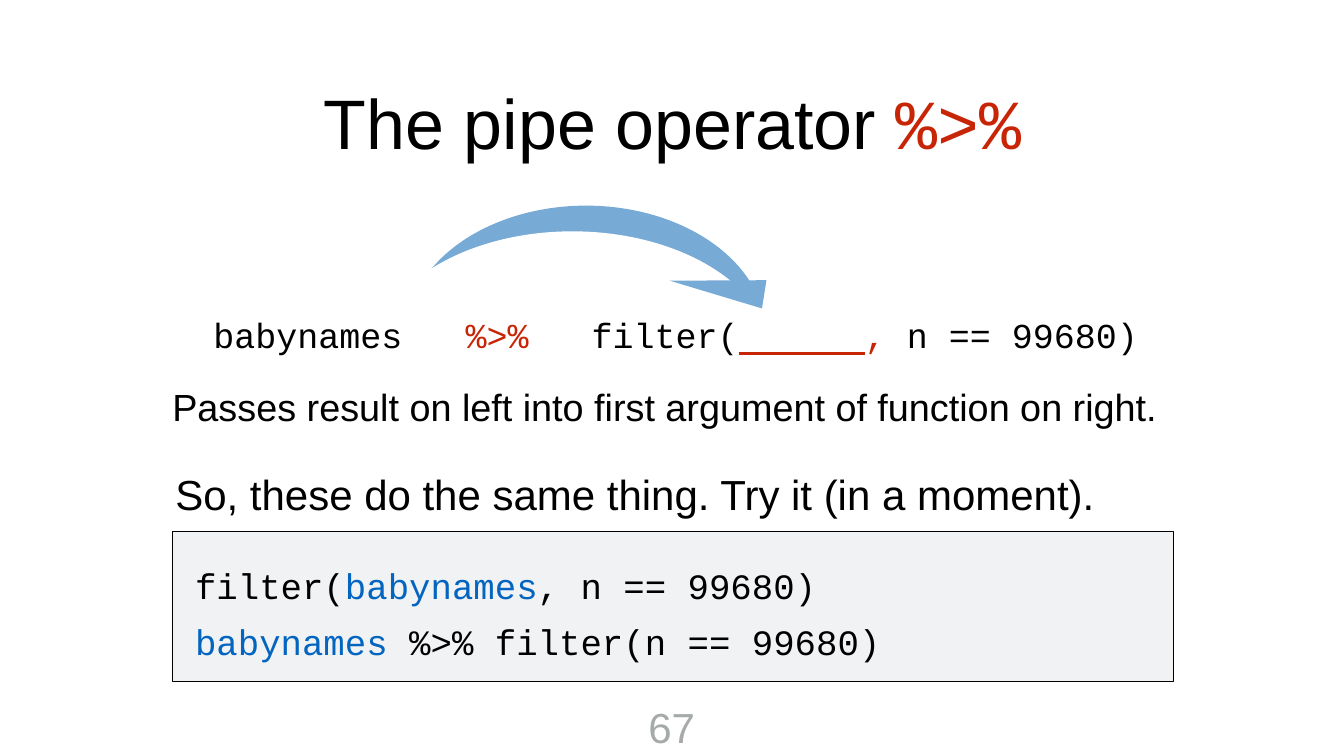
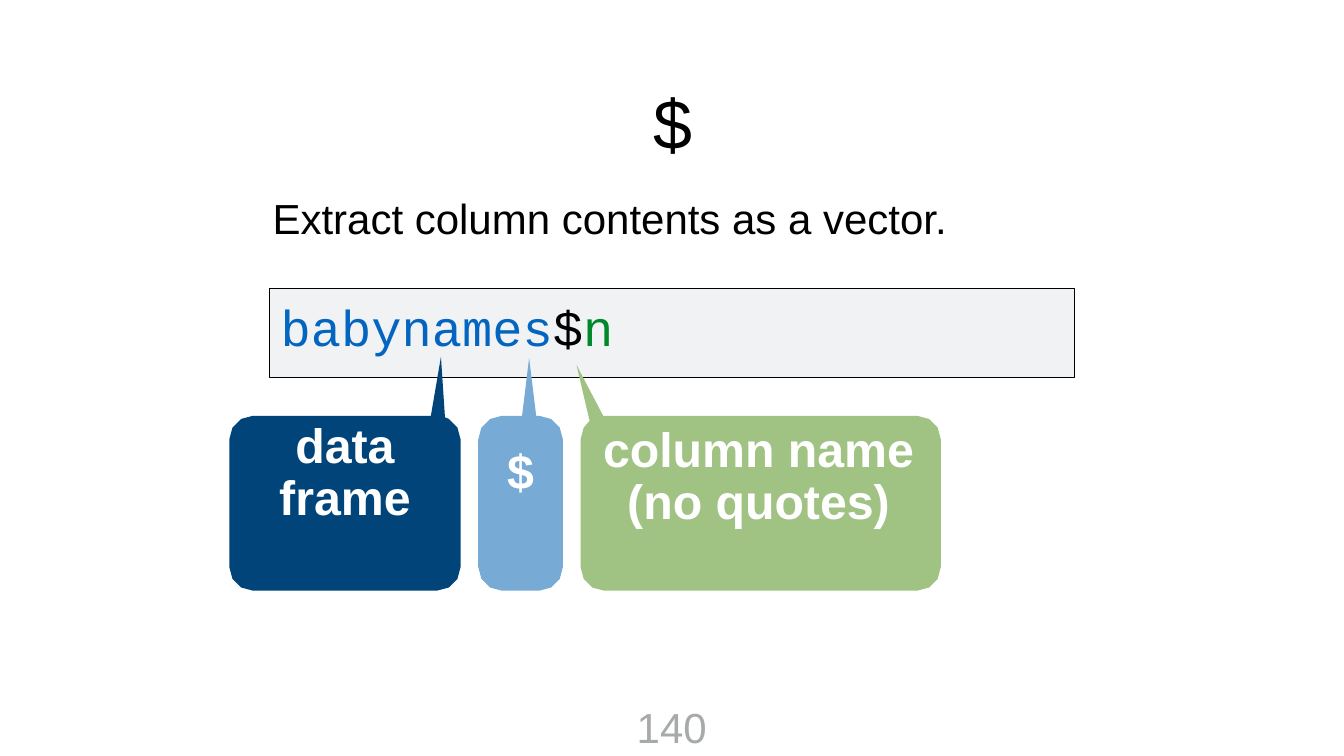
from math import cos, radians, sin

from pptx import Presentation
from pptx.dml.color import RGBColor
from pptx.enum.shapes import MSO_SHAPE
from pptx.enum.text import MSO_ANCHOR, PP_ALIGN
from pptx.util import Inches, Pt

BLACK = RGBColor(0x00, 0x00, 0x00)
WHITE = RGBColor(0xFF, 0xFF, 0xFF)
RED = RGBColor(0xC8, 0x25, 0x06)
BLUE = RGBColor(0x03, 0x65, 0xC0)
GREEN = RGBColor(0x00, 0x88, 0x2B)
GRAY = RGBColor(0xA6, 0xAA, 0xA9)
CODE_FILL = RGBColor(0xF0, 0xF2, 0xF4)
NAVY = RGBColor(0x00, 0x44, 0x79)
SKY = RGBColor(0x78, 0xAA, 0xD6)
LEAF = RGBColor(0xA0, 0xC2, 0x83)

SANS, MONO = "Arial", "Courier New"
LEFT, CENTER = PP_ALIGN.LEFT, PP_ALIGN.CENTER
TITLE_BOX = (4.4, 1.1, 17.9, 2.62)


def write_text(sp, lines, size, font=SANS, align=LEFT, spacing=1.0, inset=0.06,
               bold=False, anchor=MSO_ANCHOR.MIDDLE, wrap=True):
    """Fill sp with lines, each a list of (text, colour) or (text, colour, font) runs."""
    tf = sp.text_frame
    frame = {"word_wrap": wrap, "vertical_anchor": anchor}
    for side in ("left", "top", "right", "bottom"):
        frame[f"margin_{side}"] = Inches(inset)
    for name, value in frame.items():
        setattr(tf, name, value)
    for i, line in enumerate(lines):
        p = tf.add_paragraph() if i else tf.paragraphs[0]
        p.alignment, p.line_spacing = align, spacing
        for text, color, *own_font in line:
            r = p.add_run()
            r.text = text
            style = {"size": Pt(size), "bold": bold, "name": own_font[0] if own_font else font}
            for name, value in style.items():
                setattr(r.font, name, value)
            r.font.color.rgb = color
            if not text.strip():
                r.font.underline = True


def paint(sp, fill, line=None):
    sp.shadow.inherit = False
    sp.fill.solid()
    sp.fill.fore_color.rgb = fill
    if line is None:
        sp.line.fill.background()
    else:
        sp.line.color.rgb = line
        sp.line.width = Pt(1)


prs = Presentation()
prs.slide_width, prs.slide_height = Inches(26.67), Inches(15)
pipe, dollar = [prs.slides.add_slide(prs.slide_layouts[6]) for _ in range(2)]

# Titles, page numbers and code panels
for s, title, number, number_left, number_width, panel in (
    (pipe, [("The pipe operator ", BLACK), ("%>%", RED, MONO)], "67", 12.78, 1.1,
     (3.42, 10.55, 19.86, 2.97)),
    (dollar, [("$", BLACK)], "140", 12.55, 1.56, (5.35, 5.72, 15.97, 1.77)),
):
    sp = s.shapes.add_textbox(*map(Inches, TITLE_BOX))
    write_text(sp, [title], 100, align=CENTER)
    sp = s.shapes.add_textbox(*map(Inches, (number_left, 13.84, number_width, 1.16)))
    write_text(sp, [[(number, GRAY)]], 60, align=CENTER, inset=0.08,
               anchor=MSO_ANCHOR.TOP, wrap=False)
    sp = s.shapes.add_shape(MSO_SHAPE.RECTANGLE, *map(Inches, panel))
    paint(sp, CODE_FILL, BLACK)

# Slide 1: the curved arrow is a crescent cut off at the bottom, plus a head
for kind, box, fill in (
    (MSO_SHAPE.OVAL, (8.05, 4.08, 7.16, 5.17), SKY),
    (MSO_SHAPE.OVAL, (7.36, 4.59, 8, 5.17), WHITE),
    (MSO_SHAPE.RECTANGLE, (5.02, 5.68, 11.47, 3.26), WHITE),
):
    paint(pipe.shapes.add_shape(kind, *map(Inches, box)), fill)
builder = pipe.shapes.build_freeform(Inches(13.29), Inches(5.57))
builder.add_line_segments([(Inches(15.21), Inches(5.56)), (Inches(15.12), Inches(6.12))])
paint(builder.convert_to_shape(), SKY)

pipe_code = [(" babynames   ", BLACK), ("%>%", RED), ("   filter(", BLACK),
             ("      ", RED), (", ", RED), ("n == 99680)", BLACK)]
same_code = [[("filter(", BLACK), ("babynames", BLUE), (", n == 99680)", BLACK)],
             [("babynames", BLUE), (" %>% filter(n == 99680)", BLACK)]]
for box, lines, style in (
    ((-0.45, 6.12, 27.3, 1.03), [pipe_code],
     {"size": 50, "font": MONO, "align": CENTER, "inset": 0.08}),
    ((3.36, 6.69, 19.86, 2.76),
     [[("Passes result on left into first argument of function on right.", BLACK)]],
     {"size": 54}),
    ((3.42, 9.19, 19.86, 1.22),
     [[("So, these do the same thing. Try it (in a moment).", BLACK)]], {"size": 60}),
    ((3.79, 10.91, 18.83, 2.25), same_code,
     {"size": 51, "font": MONO, "spacing": 1.3, "inset": 0.08}),
):
    write_text(pipe.shapes.add_textbox(*map(Inches, box)), lines, **style)

# Slide 2: the code line and what its parts mean
sp = dollar.shapes.add_textbox(*map(Inches, (5.35, 3.54, 15.83, 1.56)))
write_text(sp, [[("Extract column contents as a vector.", BLACK)]], 60)
sp = dollar.shapes.add_textbox(*map(Inches, (5.51, 5.82, 15.08, 1.56)))
write_text(sp, [[("babynames", BLUE), ("$", BLACK), ("n", GREEN)]], 72, font=MONO,
           anchor=MSO_ANCHOR.TOP)

# Callouts: rounded boxes whose top edge opens into a tail
TOP, BOTTOM, RADIUS = 8.25, 11.72, 0.47
for label, fill, left, right, tip, tail_left, tail_right in (
    ("column name (no quotes)", LEAF, 11.52, 18.67, (11.44, 7.24), (11.7, 8.35), (11.97, TOP)),
    ("data frame", NAVY, 4.55, 9.14, (8.75, 7.08), (8.55, TOP), (8.83, 8.28)),
    ("$", SKY, 9.49, 11.17, (10.5, 7.1), (10.36, TOP), (10.64, TOP)),
):
    corners = []
    for cx, cy, start in (
        (right - RADIUS, TOP + RADIUS, -90), (right - RADIUS, BOTTOM - RADIUS, 0),
        (left + RADIUS, BOTTOM - RADIUS, 90), (left + RADIUS, TOP + RADIUS, 180),
    ):
        corners.append([(cx + RADIUS * cos(radians(a)), cy + RADIUS * sin(radians(a)))
                        for a in range(start, start + 91, 30)])
    top_right, bottom_right, bottom_left, top_left = corners
    outline = [tail_right, *[pt for pt in top_right if pt[0] > tail_right[0]],
               *bottom_right, *bottom_left,
               *[pt for pt in top_left if pt[0] < tail_left[0]], tail_left]
    builder = dollar.shapes.build_freeform(*map(Inches, tip))
    builder.add_line_segments([(Inches(x), Inches(y)) for x, y in outline])
    sp = builder.convert_to_shape()
    paint(sp, fill)
    write_text(sp, [[(label, WHITE)]], 69, align=CENTER, spacing=0.9, inset=0.08, bold=True)

prs.save("out.pptx")
